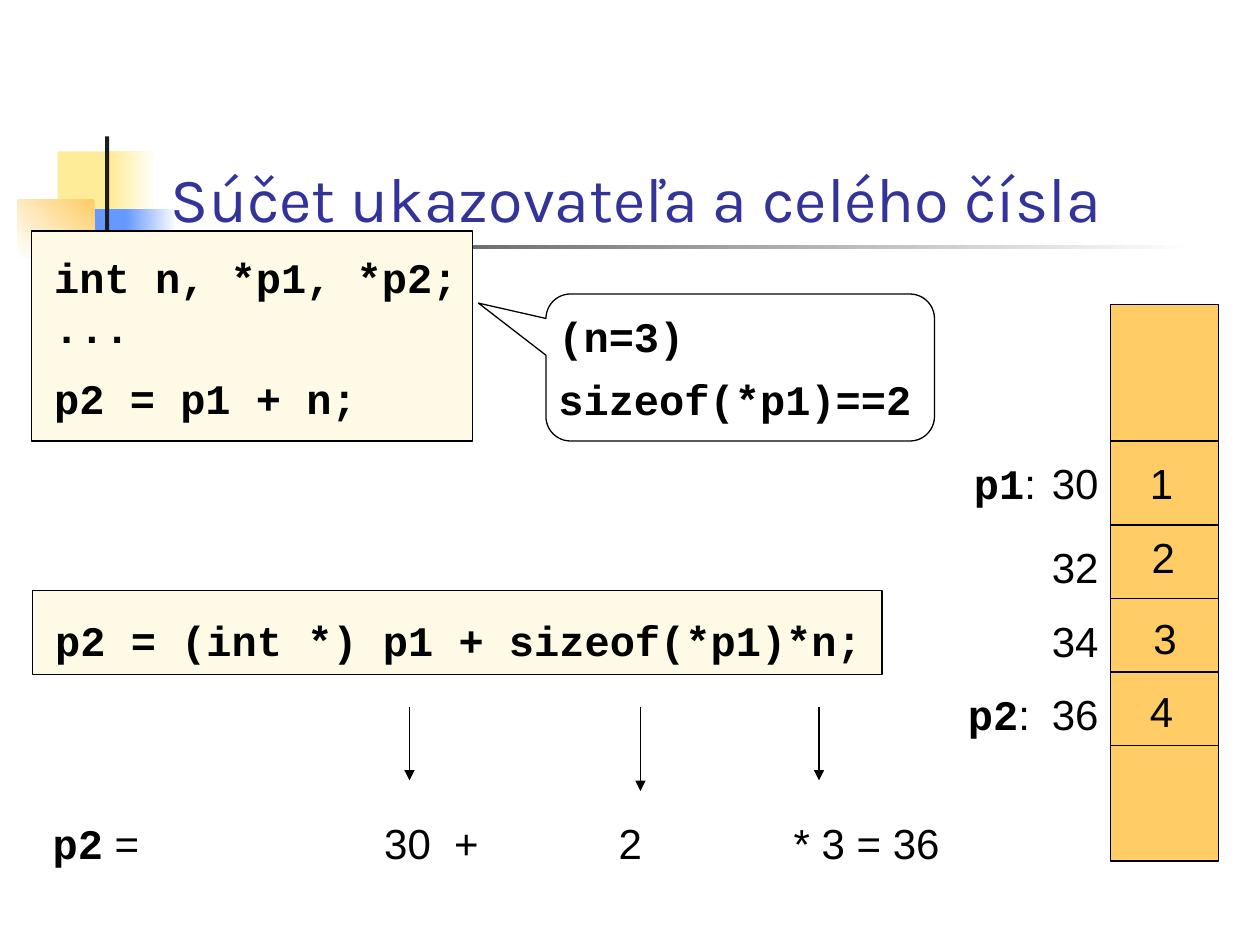
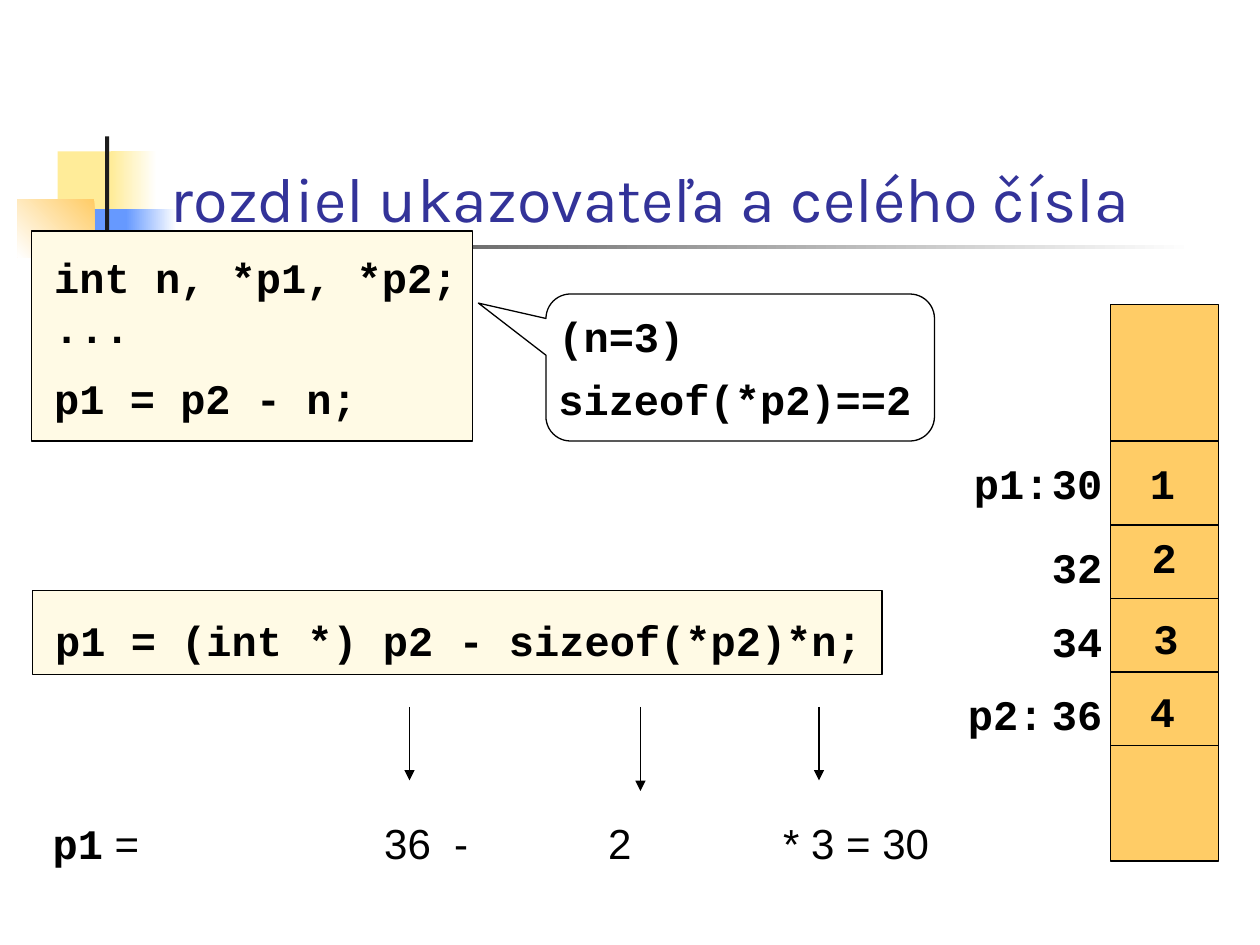
"""Two slides on adding an integer to a pointer and subtracting it."""
from lxml import etree
from pptx import Presentation
from pptx.dml.color import RGBColor
from pptx.enum import shapes, text
from pptx.oxml import ns
from pptx.util import Pt

COLORS = {
    "ink": "000000", "title": "333399", "paper": "FFFFFF", "cream": "FFFAE5",
    "memory": "FFCC66", "yellow": "FFEC99", "blue": "6699FF", "dark": "1C1C1C",
}
MONO, SANS, TITLE_FONT = "Courier New", "Arial", "Karla"
SIZE = 24

SLIDES = [
    {
        "title": "Súčet ukazovateľa a celého čísla",
        "code": ["int n, *p1, *p2;", "...", "p2 = p1 + n;"],
        "assumptions": ["(n=3)", "sizeof(*p1)==2"],
        "expression": "p2 = (int *) p1 + sizeof(*p1)*n;",
        "result": ("p2", " =\t30\t+\t2\t* 3 = 36"),
        "result_tabs": [189.5, 229.5, 323.5, 423.5],
        "number_font": SANS,
    },
    {
        "title": "rozdiel ukazovateľa a celého čísla",
        "code": ["int n, *p1, *p2;", "...", "p1 = p2 - n;"],
        "assumptions": ["(n=3)", "sizeof(*p2)==2"],
        "expression": "p1 = (int *) p2 - sizeof(*p2)*n;",
        "result": ("p1", " =\t36\t-\t2\t* 3 = 30"),
        "result_tabs": [189.5, 229.5, 317.5, 417.5],
        "number_font": MONO,
    },
]

DECORATION = [
    ((33, 86.5, 34.5, 37.5), "yellow", None, 0),
    ((63.5, 86.5, 26, 37.5), "paper", "yellow", 180),
    ((42.5, 119.5, 33, 37.5), "blue", None, 0),
    ((72, 119.5, 29, 37.5), "paper", "blue", 180),
    ((10, 114, 44, 33), "memory", "paper", 135),
    ((60, 78, 2.4, 83), "dark", None, 0),
    ((34.5, 140, 648, 2.6), "paper", "dark", 180),
]

MEMORY = (634.5, 174, 62, 318)
CELL_BORDERS = [252, 300, 342, 384, 426]
CELLS = [
    ("30", "1", (650, 258)), ("32", "2", (651, 300)),
    ("34", "3", (652, 346.5)), ("36", "4", (650, 388)),
]
POINTERS = [("p1", (549.5, 258)), ("p2", (546, 390))]
ARROWS = [(234, 446), (366, 452), (468, 446)]
ARROW_TOP = 404


def rgb(color):
    return RGBColor.from_string(COLORS[color])


def add_run(paragraph, words, font=MONO, size=SIZE, color="ink"):
    run = paragraph.add_run()
    run.text = words
    run.font.name, run.font.size, run.font.bold = font, Pt(size), font == MONO
    run.font.color.rgb = rgb(color)


def add_block(slide, box, fill, outlined=True, kind=shapes.MSO_SHAPE.RECTANGLE):
    block = slide.shapes.add_shape(kind, *map(Pt, box))
    block.shadow.inherit = False
    block.fill.solid()
    block.fill.fore_color.rgb = rgb(fill)
    if outlined:
        block.line.color.rgb = rgb("ink")
        block.line.width = Pt(0.75)
    else:
        block.line.fill.background()
    return block


def add_label(slide, box, runs):
    label = slide.shapes.add_textbox(*map(Pt, box))
    label.text_frame.word_wrap = True
    paragraph = label.text_frame.paragraphs[0]
    for words, font in runs:
        add_run(paragraph, words, font)
    return paragraph


def add_line(slide, start, end, arrow=False):
    line = slide.shapes.add_connector(
        shapes.MSO_CONNECTOR.STRAIGHT, *map(Pt, (*start, *end)))
    line.line.color.rgb = rgb("ink")
    line.line.width = Pt(0.75)
    properties = line.element.spPr
    if arrow:
        tail = etree.SubElement(line.line._get_or_add_ln(), ns.qn("a:tailEnd"))
        tail.set("type", "triangle")
    etree.SubElement(properties, ns.qn("a:effectLst"))


def add_code(slide, box, lines, top, gap=0):
    frame = add_block(slide, box, "cream").text_frame
    frame.word_wrap = True
    frame.vertical_anchor = text.MSO_ANCHOR.TOP
    frame.margin_left, frame.margin_top, frame.margin_right = Pt(13), Pt(top), Pt(0)
    for index, line in enumerate(lines):
        paragraph = frame.add_paragraph() if index else frame.paragraphs[0]
        paragraph.alignment = text.PP_ALIGN.LEFT
        add_run(paragraph, line)
    if gap:
        paragraph.space_before = Pt(gap)


def add_decoration(slide):
    for box, first, last, angle in DECORATION:
        block = add_block(slide, box, first, outlined=False)
        if last:
            block.fill.gradient()
            block.fill.gradient_angle = 360 - angle
            for stop, color in zip(block.fill.gradient_stops, (first, last)):
                stop.color.rgb = rgb(color)


def add_title(slide, words):
    title = slide.shapes.title
    title.left, title.top, title.width, title.height = map(Pt, (90.5, 48, 613.5, 90))
    title.element.getparent().append(title.element)
    frame = title.text_frame
    frame.word_wrap = True
    frame.auto_size = text.MSO_AUTO_SIZE.NONE
    frame.vertical_anchor = text.MSO_ANCHOR.BOTTOM
    frame.paragraphs[0].alignment = text.PP_ALIGN.LEFT
    add_run(frame.paragraphs[0], words, TITLE_FONT, 36, "title")


def add_assumptions(slide, lines):
    callout = add_block(slide, (312, 168, 222, 84), "paper",
                        kind=shapes.MSO_SHAPE.ROUNDED_RECTANGULAR_CALLOUT)
    for index, value in enumerate((-0.674, -0.438, 0.167)):
        callout.adjustments[index] = value
    for index, line in enumerate(lines):
        add_label(slide, (312, 174 + 36 * index, 222, 36), [(line, MONO)])


def add_result(slide, runs, tabs):
    paragraph = add_label(slide, (23, 463.5, 540, 36), zip(runs, (MONO, SANS)))
    stops = etree.SubElement(paragraph._p.get_or_add_pPr(), ns.qn("a:tabLst"))
    for position in tabs:
        etree.SubElement(stops, ns.qn("a:tab"), pos=str(Pt(position)), algn="l")
    for x, bottom in ARROWS:
        add_line(slide, (x, ARROW_TOP), (x, bottom), arrow=True)


def add_memory(slide, font):
    left, _, width, _ = MEMORY
    add_block(slide, MEMORY, "memory")
    for y in CELL_BORDERS:
        add_line(slide, (left, y), (left + width, y))
    for (address, value, place), border in zip(CELLS, CELL_BORDERS):
        add_label(slide, (594, border + 6, 54, 36), [(address, font)])
        add_label(slide, (*place, 34, 36), [(value, font)])
    for pointer, place in POINTERS:
        add_label(slide, (*place, 66, 36), [(pointer, MONO), (":", font)])


def main():
    deck = Presentation()
    deck.slide_width, deck.slide_height = Pt(720), Pt(540)
    for content in SLIDES:
        slide = deck.slides.add_slide(deck.slide_layouts[5])
        add_decoration(slide)
        add_title(slide, content["title"])
        add_code(slide, (18, 132, 252, 120), content["code"], top=11.5, gap=12)
        add_assumptions(slide, content["assumptions"])
        add_code(slide, (18.5, 337.5, 485.5, 48), [content["expression"]], top=13.5)
        add_result(slide, content["result"], content["result_tabs"])
        add_memory(slide, content["number_font"])
    deck.save("out.pptx")


if __name__ == "__main__":
    main()
